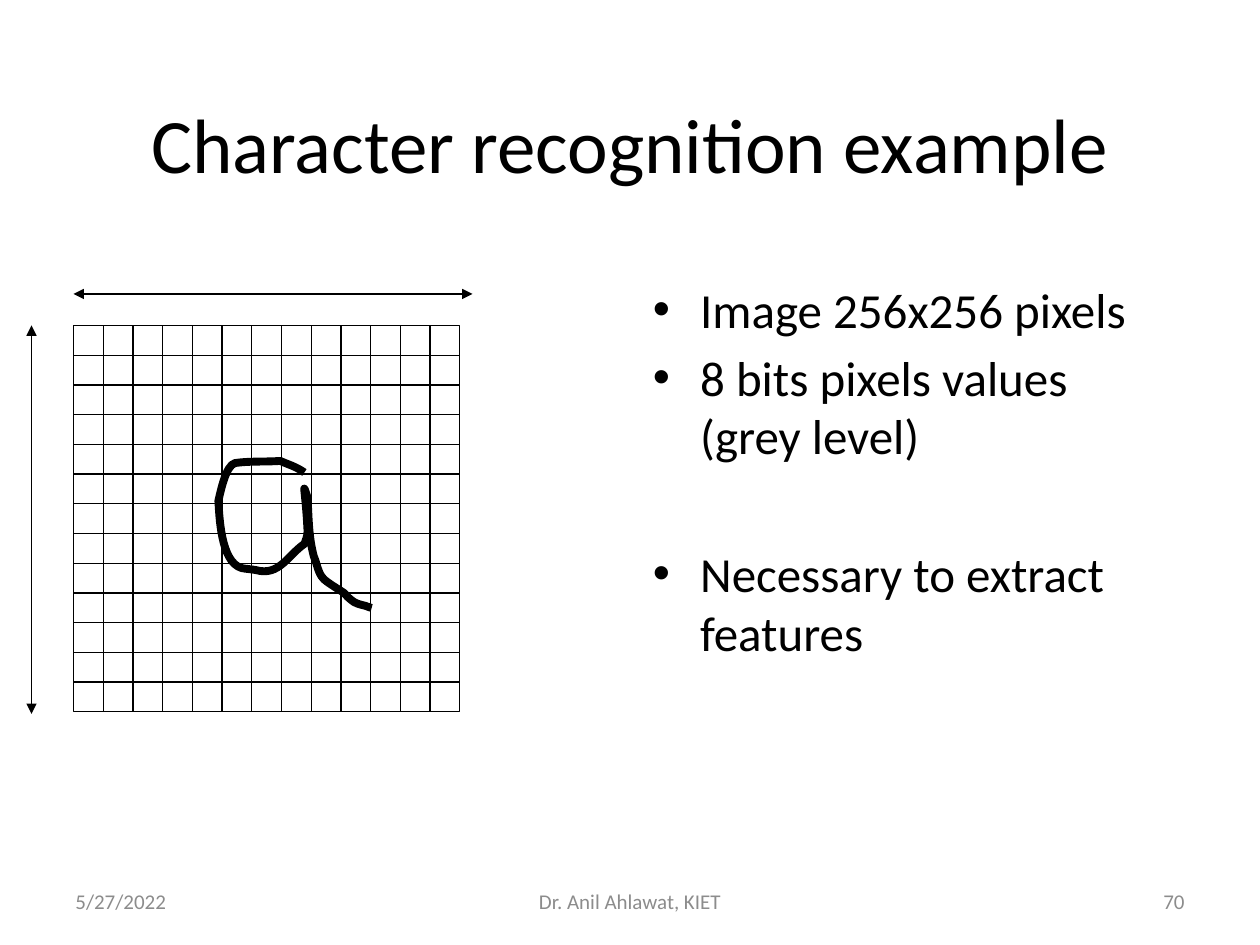
from dataclasses import dataclass

from lxml import etree
from pptx import Presentation
from pptx import util as u
from pptx.dml.color import RGBColor
from pptx.enum import shapes, text
from pptx.oxml import ns

PX = 7620


@dataclass(frozen=True)
class Theme:
    font: str = "Calibri"
    ink: str = "000000"
    muted: str = "8C8C8C"
    title: int = 44
    body: int = 28
    footer: int = 12
    thin: float = 0.75
    stroke: float = 4.5


THEME = Theme()
LEFT, CENTER, RIGHT = text.PP_ALIGN.LEFT, text.PP_ALIGN.CENTER, text.PP_ALIGN.RIGHT

LETTER_START = (82, 11)
LETTER_CURVES = [
    [(73, 5), (68, 4), (59, 0)],
    [(44, 1), (30, 0), (16, 2)],
    [(7, 4), (2, 30), (0, 38)],
    [(1, 52), (2, 96), (22, 102)],
    [(26, 103), (31, 103), (36, 104)],
    [(58, 110), (66, 90), (82, 79)],
    [(83, 76), (85, 72), (85, 67)],
    [(83, 26), (79, 17), (85, 35)],
    [(86, 54), (86, 73), (91, 91)],
    [(94, 98), (95, 107), (100, 112)],
    [(102, 115), (119, 125), (120, 126)],
    [(122, 128), (124, 131), (126, 132)],
    [(130, 136), (136, 137), (140, 138)],
    [(142, 139), (146, 140), (146, 140)],
]


def px(*lengths):
    return [u.Emu(round(length * PX)) for length in lengths]


def add_child(parent, tag, **attributes):
    return etree.SubElement(parent, ns.qn(tag), attributes)


def style_line(line, width):
    line.color.rgb = RGBColor.from_string(THEME.ink)
    line.width = u.Pt(width)


def draw_line(target, start, end, arrows=False):
    line = target.add_connector(shapes.MSO_CONNECTOR.STRAIGHT, *px(*start, *end))
    style_line(line.line, THEME.thin)
    if arrows:
        stroke = line.line._get_or_add_ln()
        add_child(stroke, "a:headEnd", type="triangle")
        add_child(stroke, "a:tailEnd", type="triangle")
    add_child(line._element.spPr, "a:effectLst")


def text_frame(page, box, anchor):
    frame = page.shapes.add_textbox(*px(*box)).text_frame
    frame.word_wrap = True
    frame.vertical_anchor = anchor
    return frame


def add_span(para, words, size, color):
    span = para.add_run()
    span.text = words
    span.font.name = THEME.font
    span.font.size = u.Pt(size)
    span.font.color.rgb = RGBColor.from_string(color)


def add_label(page, box, words, size, color, align):
    para = text_frame(page, box, text.MSO_ANCHOR.MIDDLE).paragraphs[0]
    para.alignment = align
    add_span(para, words, size, color)


def add_bullets(page, box, items):
    frame = text_frame(page, box, text.MSO_ANCHOR.TOP)
    for index, (words, space) in enumerate(items):
        para = frame.add_paragraph() if index else frame.paragraphs[0]
        indent = 45 * PX
        properties = para._p.get_or_add_pPr()
        properties.set("marL", str(indent))
        properties.set("indent", str(-indent))
        add_child(properties, "a:buFont", typeface="Arial")
        add_child(properties, "a:buChar", char="•")
        if index:
            para.space_before = u.Pt(space)
        add_span(para, words, THEME.body, THEME.ink)


def add_pixel_grid(page, box, cells):
    left, top, size, _ = box
    group = page.shapes.add_group_shape().shapes
    frame = group.add_shape(shapes.MSO_SHAPE.RECTANGLE, *px(*box))
    frame.shadow.inherit = False
    frame.fill.background()
    style_line(frame.line, THEME.thin)
    offsets = [size * index / cells for index in range(1, cells)]
    for offset in offsets:
        draw_line(group, (left + offset, top), (left + offset, top + size))
    for offset in offsets:
        draw_line(group, (left, top + offset), (left + size, top + offset))


def add_letter(page, left, top):
    builder = page.shapes.build_freeform(*LETTER_START, scale=PX)
    builder.add_line_segments([curve[-1] for curve in LETTER_CURVES], close=False)
    letter = builder.convert_to_shape(*px(left, top))
    segments = list(letter._element.iter(ns.qn("a:lnTo")))
    for segment, (first, second, _) in zip(segments, LETTER_CURVES):
        curve = etree.Element(ns.qn("a:cubicBezTo"))
        for x, y in (first, second):
            add_child(curve, "a:pt", x=str(x), y=str(y))
        curve.append(segment[0])
        segment.getparent().replace(segment, curve)
    letter.shadow.inherit = False
    letter.fill.background()
    style_line(letter.line, THEME.stroke)


def add_sample(page, box):
    left, top, size, _ = box
    add_pixel_grid(page, box, 13)
    draw_line(page.shapes, (left, top - 30), (left + size + 12, top - 30), arrows=True)
    draw_line(page.shapes, (left - 40, top), (left - 40, top + size + 2), arrows=True)
    add_letter(page, left + 138, top + 129)


def add_footer(page, box):
    left, top, width, height = box
    side, middle = 280, 380
    parts = [
        (left, side, "5/27/2022", LEFT),
        (left + width - side, side, "70", RIGHT),
        (left + (width - middle) // 2, middle, "Dr. Anil Ahlawat, KIET", CENTER),
    ]
    for x, part_width, words, align in parts:
        part_box = (x, top, part_width, height)
        add_label(page, part_box, words, THEME.footer, THEME.muted, align)


def main():
    deck = Presentation()
    deck.slide_width, deck.slide_height = px(1200, 900)
    page = deck.slides.add_slide(deck.slide_layouts[6])
    add_sample(page, (70, 310, 368, 368))
    title = "Character recognition example"
    add_label(page, (90, 40, 1020, 192), title, THEME.title, THEME.ink, CENTER)
    add_bullets(page, (610, 260, 500, 540), [
        ("Image 256x256 pixels", 0),
        ("8 bits pixels values (grey level)", 5.2),
        ("Necessary to extract features", 45),
    ])
    add_footer(page, (60, 834, 1080, 48))
    deck.save("out.pptx")


if __name__ == "__main__":
    main()
